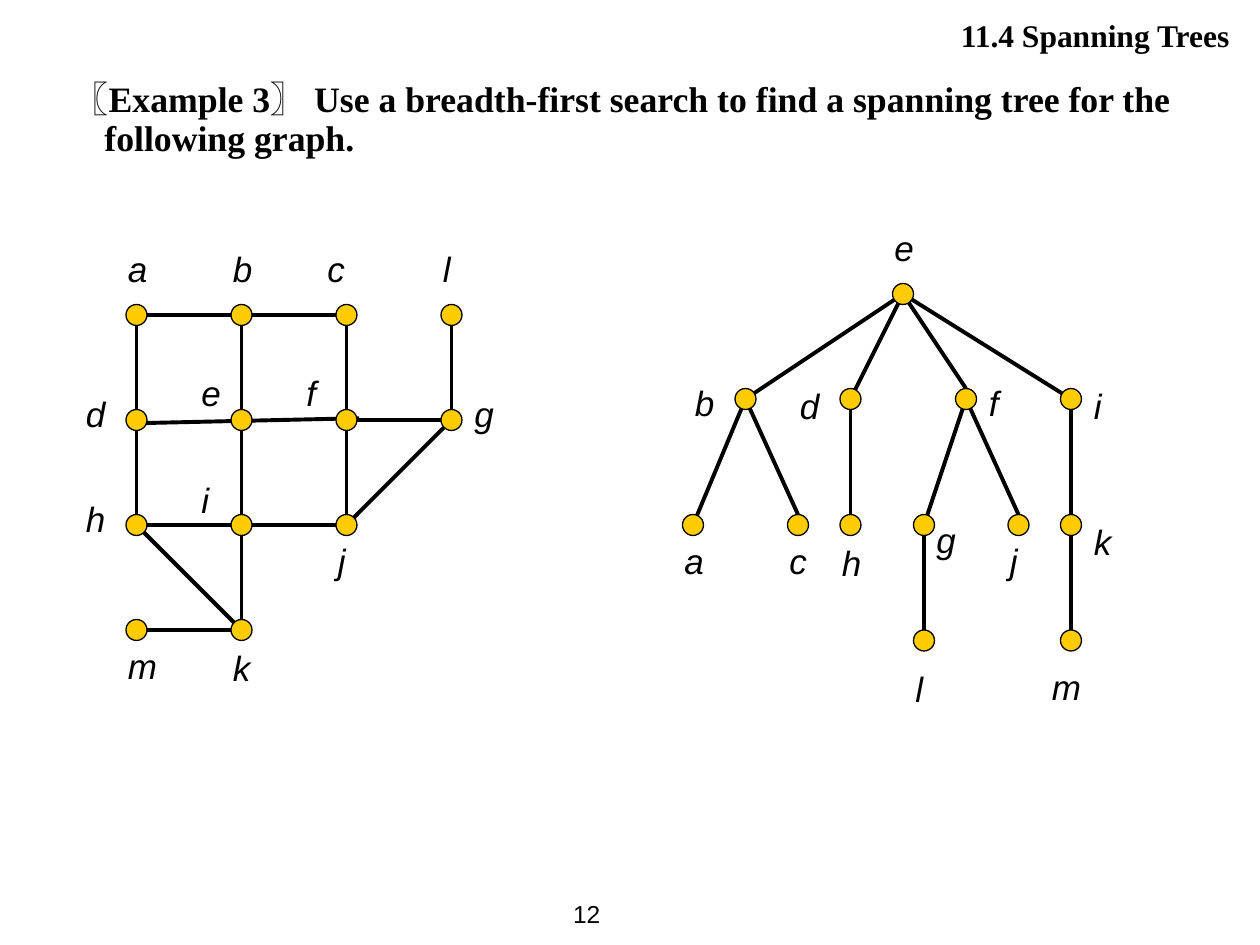
import pptx
import pptx.util
import pptx.dml.color
import pptx.enum.shapes
import pptx.enum.text
import pptx.oxml.ns
import lxml.etree
from dataclasses import dataclass

Pt = pptx.util.Pt
RGB = pptx.dml.color.RGBColor
ALIGN = pptx.enum.text.PP_ALIGN
ANCHOR = pptx.enum.text.MSO_ANCHOR
AUTO = pptx.enum.text.MSO_AUTO_SIZE


@dataclass
class Theme:
    ink: RGB = RGB(0, 0, 0)
    node: RGB = RGB(0xFF, 0xCC, 0)
    sans: str = "Arial"
    serif: str = "Times New Roman"
    header: float = 18
    body: float = 20.4
    label: float = 20
    number: float = 14
    edge_width: float = 2.25
    outline: float = 0.75
    diameter: float = 12


class GraphSlide:
    def __init__(self, prs, theme):
        self.theme = theme
        self.s = prs.slides.add_slide(prs.slide_layouts[6])

    def text(self, shapes, text, box, font, size, bold=False, italic=False, grow=True):
        sp = shapes.add_textbox(*map(Pt, box))
        tf = sp.text_frame
        tf.word_wrap = True
        tf.auto_size = AUTO.SHAPE_TO_FIT_TEXT if grow else AUTO.NONE
        p = tf.paragraphs[0]
        p.text = text
        p.font.name, p.font.size = font, Pt(size)
        p.font.bold, p.font.italic = bold, italic
        p.font.color.rgb = self.theme.ink
        return tf

    def edge(self, shapes, start, end):
        kind = pptx.enum.shapes.MSO_CONNECTOR.STRAIGHT
        line = shapes.add_connector(kind, *map(Pt, (*start, *end)))
        line.line.color.rgb = self.theme.ink
        line.line.width = Pt(self.theme.edge_width)
        lxml.etree.SubElement(line._element.spPr, pptx.oxml.ns.qn("a:effectLst"))

    def node(self, shapes, x, y):
        d = self.theme.diameter
        kind = pptx.enum.shapes.MSO_SHAPE.OVAL
        sp = shapes.add_shape(kind, *map(Pt, (x - d / 2, y - d / 2, d, d)))
        sp.shadow.inherit = False
        sp.fill.solid()
        sp.fill.fore_color.rgb = self.theme.node
        sp.line.color.rgb = self.theme.ink
        sp.line.width = Pt(self.theme.outline)

    def graph(self, shapes, nodes, edges):
        """nodes: name -> (x, y, label left, label top); edges: pairs of points."""
        for start, end in edges:
            self.edge(shapes, start, end)
        for name, (x, y, left, top) in nodes.items():
            self.text(shapes, name, (left, top, 36, 31.5), self.theme.sans,
                      self.theme.label, italic=True)
        for x, y, *_ in nodes.values():
            self.node(shapes, x, y)


# Nodes of the given graph stand on a square grid
GRID_LEFT, GRID_TOP, STEP = 78, 180, 60
GRID = {  # name: column, row, label left, label top
    "a": (0, 0, 66, 138), "b": (1, 0, 126, 138),
    "c": (2, 0, 180, 138), "l": (3, 0, 246, 138),
    "d": (0, 1, 42, 221), "e": (1, 1, 108, 209),
    "f": (2, 1, 168, 209), "g": (3, 1, 264, 221),
    "h": (0, 2, 42, 281), "i": (1, 2, 108, 270), "j": (2, 2, 186, 304.5),
    "m": (0, 3, 66, 365), "k": (1, 3, 126, 366),
}
GRID_EDGES = "ab bc fg ah hj bi cj jg lg ik mk hk".split()
SLANTED_EDGE = ((76.3, 241.9), (205.2, 239))  # d through e to f

# Breadth-first spanning tree
TREE = {  # name: x, y, label left, label top
    "e": (516, 168, 504, 126),
    "b": (426, 228, 390, 214.5), "d": (486, 228, 450, 216),
    "f": (552, 228, 558, 214.5), "i": (612, 228, 618, 216),
    "a": (396, 300, 384, 304.5), "c": (456, 300, 444, 304.5),
    "h": (486, 300, 474, 306), "g": (528, 300, 528, 293),
    "j": (582, 300, 570, 304.5), "k": (612, 300, 618, 294),
    "l": (528, 366, 516, 378), "m": (612, 366, 594, 376.5),
}
TREE_EDGES = "eb ed ef ei ba bc dh fg fj ik km gl".split()
ENDS_ON_TOP = {"ef", "bc", "fj", "ik"}


def main():
    theme = Theme()
    prs = pptx.Presentation()
    prs.slide_width, prs.slide_height = Pt(720), Pt(540)
    slide = GraphSlide(prs, theme)
    shapes = slide.s.shapes

    # Page number
    tf = slide.text(shapes, "12", (320.4, 504, 48, 36), theme.sans, theme.number, grow=False)
    tf.vertical_anchor = ANCHOR.MIDDLE

    # Spanning tree
    def tree_edge(pair):
        (x1, y1), (x2, y2) = (TREE[name][:2] for name in pair)
        return (x1, y1), (x2, y2 - theme.diameter / 2 * (pair in ENDS_ON_TOP))

    slide.graph(shapes, TREE, [tree_edge(pair) for pair in TREE_EDGES])

    # Task
    tf = slide.text(shapes, "〖Example 3〗 Use a breadth-first search to find "
                    "a spanning tree for the following graph.",
                    (25.2, 43.2, 658.8, 57), theme.serif, theme.body, bold=True, grow=False)
    p = tf.paragraphs[0]
    p.line_spacing = 0.9
    pPr = p._p.get_or_add_pPr()
    pPr.set("marL", str(Pt(27.4)))
    pPr.set("indent", str(Pt(-18)))

    # Given graph
    nodes = {name: (GRID_LEFT + col * STEP, GRID_TOP + row * STEP, left, top)
             for name, (col, row, left, top) in GRID.items()}
    edges = [(nodes[a][:2], nodes[b][:2]) for a, b in GRID_EDGES]
    slide.graph(shapes.add_group_shape().shapes, nodes, edges + [SLANTED_EDGE])

    # Section header
    tf = slide.text(shapes, "11.4 Spanning Trees", (286.6, 5.8, 427.7, 28.8),
                    theme.serif, theme.header, bold=True)
    tf.margin_right = Pt(11.7)
    tf.paragraphs[0].alignment = ALIGN.RIGHT

    prs.save("out.pptx")


if __name__ == "__main__":
    main()
